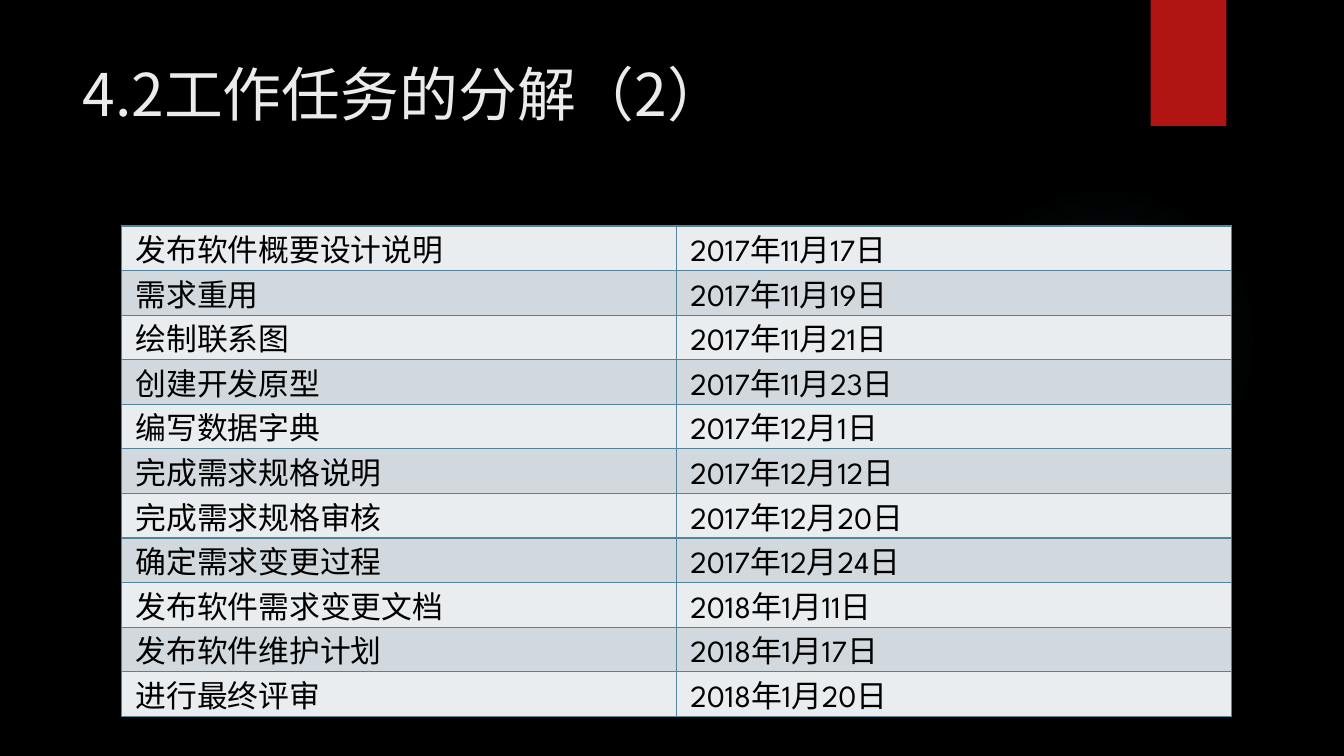
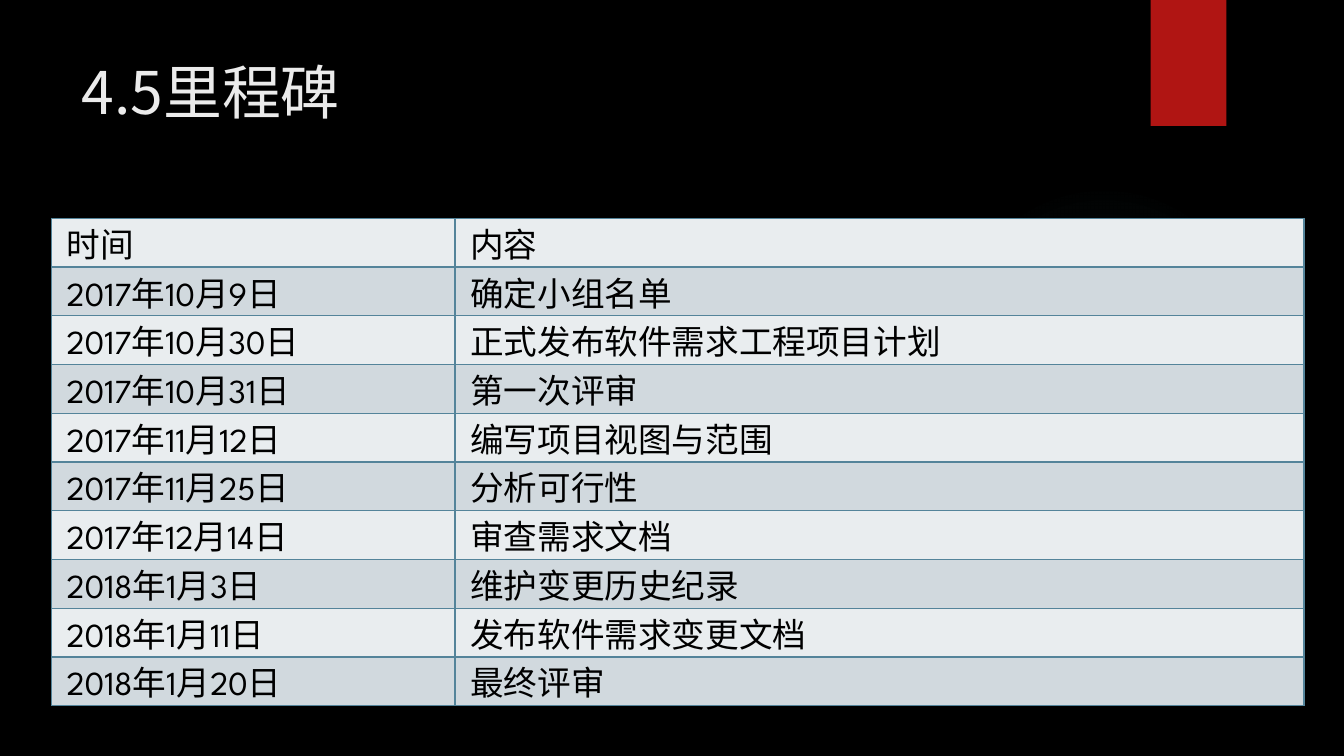
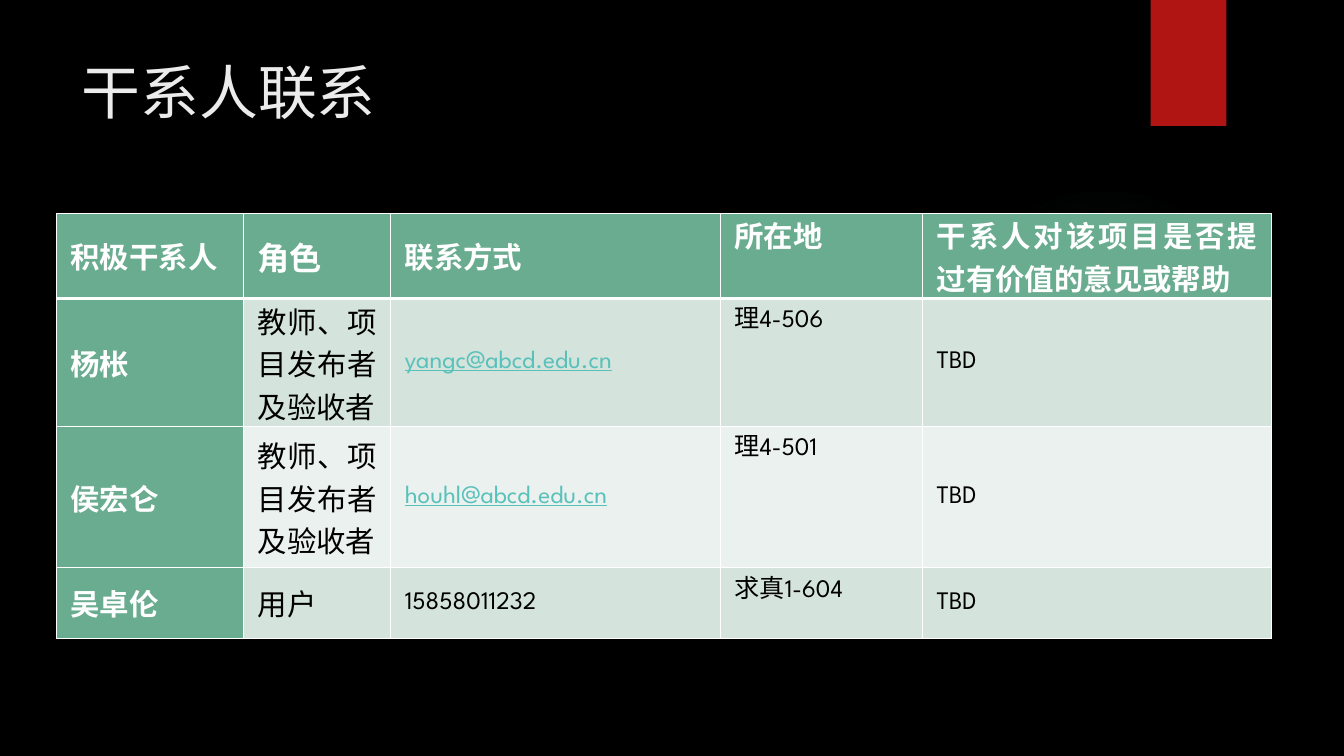
from lxml import etree
from pptx import Presentation
from pptx.dml.color import RGBColor
from pptx.enum.shapes import MSO_SHAPE
from pptx.enum.text import MSO_ANCHOR, PP_ALIGN
from pptx.oxml import parse_xml
from pptx.oxml.ns import nsdecls, qn
from pptx.util import Inches, Pt

BLACK = RGBColor(0x00, 0x00, 0x00)
WHITE = RGBColor(0xFF, 0xFF, 0xFF)
RED = RGBColor(0xB0, 0x15, 0x13)
TITLE = RGBColor(0xEB, 0xEB, 0xEB)
GLOW = RGBColor(0x50, 0xB9, 0xC1)
BLUE = RGBColor(0x54, 0x84, 0x9A)
GREEN = RGBColor(0x6A, 0xAC, 0x90)
LINK = RGBColor(0x58, 0xC1, 0xBA)
GREY_BANDS = [RGBColor(0xE9, 0xED, 0xEF), RGBColor(0xD1, 0xD9, 0xDE)]
GREEN_BANDS = [RGBColor(0xEB, 0xF1, 0xEE), RGBColor(0xD4, 0xE3, 0xDB)]
BODY_FONT, CJK_FONT = "League Spartan", "Noto Sans CJK SC"

# One grid unit is a hundredth of the slide's width or height
W, H = Inches(13.33), Inches(7.5)


def box(x, y, w, h):
    return [round(v * side / 100) for v, side in zip((x, y, w, h), (W, H, W, H))]


def write(tf, text, size, color, font=BODY_FONT, bold=False, underline=False,
          align=PP_ALIGN.LEFT):
    tf.word_wrap = True
    p = tf.paragraphs[0]
    p.alignment = align
    r = p.add_run()
    r.text = text
    r.font.name, r.font.size, r.font.color.rgb = font, Pt(size), color
    r.font.bold, r.font.underline = bold, underline
    etree.SubElement(r.font._element, qn("a:ea"), typeface=CJK_FONT)


tasks = [
    ("发布软件概要设计说明", "2017年11月17日"),
    ("需求重用", "2017年11月19日"),
    ("绘制联系图", "2017年11月21日"),
    ("创建开发原型", "2017年11月23日"),
    ("编写数据字典", "2017年12月1日"),
    ("完成需求规格说明", "2017年12月12日"),
    ("完成需求规格审核", "2017年12月20日"),
    ("确定需求变更过程", "2017年12月24日"),
    ("发布软件需求变更文档", "2018年1月11日"),
    ("发布软件维护计划", "2018年1月17日"),
    ("进行最终评审", "2018年1月20日"),
]
milestones = [
    ("时间", "内容"),
    ("2017年10月9日", "确定小组名单"),
    ("2017年10月30日", "正式发布软件需求工程项目计划"),
    ("2017年10月31日", "第一次评审"),
    ("2017年11月12日", "编写项目视图与范围"),
    ("2017年11月25日", "分析可行性"),
    ("2017年12月14日", "审查需求文档"),
    ("2018年1月3日", "维护变更历史纪录"),
    ("2018年1月11日", "发布软件需求变更文档"),
    ("2018年1月20日", "最终评审"),
]
contacts = [
    ("积极干系人", "角色", "联系方式", "所在地", "干系人对该项目是否提过有价值的意见或帮助"),
    ("杨枨", "教师、项目发布者及验收者", "yangc@abcd.edu.cn", "理4-506", "TBD"),
    ("侯宏仑", "教师、项目发布者及验收者", "houhl@abcd.edu.cn", "理4-501", "TBD"),
    ("吴卓伦", "用户", "15858011232", "求真1-604", "TBD"),
]

# Title, title box, table corner, column widths, row heights, side inset, text size, rows
pages = [
    ("4.2工作任务的分解（2）", (5.4, 6.93, 77.19, 16.67), (9.05, 29.9),
     [41.28] * 2, [5.9] * len(tasks), 0.14, 22, tasks),
    ("4.5里程碑", (5.33, 6.67, 77.19, 12.4), (3.83, 28.88),
     [30.03, 63.17], [6.45] * len(milestones), 0.15, 24, milestones),
    ("干系人联系", (5.33, 6.67, 77.19, 20.4), (4.2, 28.24),
     [13.92, 10.95, 24.53, 15.05, 25.96], [11.26, 16.95, 18.67, 9.33], 0.14, 21, contacts),
]

prs = Presentation()
prs.slide_width, prs.slide_height = W, H
fill = prs.slide_master.background.fill
fill.solid()
fill.fore_color.rgb = BLACK

for title, title_box, corner, widths, heights, inset, size, rows in pages:
    s = prs.slides.add_slide(prs.slide_layouts[6])

    # Faint round glow
    sp = s.shapes.add_shape(MSO_SHAPE.OVAL, *box(70.59, 24.4, 23.11, 41.07))
    sp.shadow.inherit = False
    sp.line.fill.background()
    stops = "".join(
        f'<a:gs pos="{pos}000"><a:srgbClr val="{GLOW}"><a:alpha val="{alpha}000"/></a:srgbClr></a:gs>'
        for pos, alpha in [(0, 7), (36, 6), (69, 0)])
    sp._element.spPr.find(qn("a:prstGeom")).addnext(parse_xml(
        f'<a:gradFill {nsdecls("a")}><a:gsLst>{stops}</a:gsLst><a:path path="circle">'
        '<a:fillToRect l="50000" t="50000" r="50000" b="50000"/></a:path></a:gradFill>'))

    # Red tab
    sp = s.shapes.add_shape(MSO_SHAPE.RECTANGLE, *box(85.62, 0, 5.63, 16.67))
    sp.shadow.inherit = False
    sp.line.fill.background()
    sp.fill.solid()
    sp.fill.fore_color.rgb = RED

    # Title
    tf = s.shapes.add_textbox(*box(*title_box)).text_frame
    write(tf, title, 42, TITLE, font=CJK_FONT)

    # Table
    frame = s.shapes.add_table(len(rows), len(widths), *box(*corner, sum(widths), sum(heights)))
    table = frame.table
    for column, width in zip(table.columns, widths):
        column.width = round(width * W / 100)
    for row, height in zip(table.rows, heights):
        row.height = round(height * H / 100)
    is_contacts = rows is contacts

    for i, row in enumerate(rows):
        for j, text in enumerate(row):
            cell = table.cell(i, j)
            cell.margin_left = cell.margin_right = Inches(inset)
            cell.margin_top = cell.margin_bottom = 0

            # Borders, heavier below the contacts header
            for side in "LRTB":
                heavy = is_contacts and (i, side) in [(0, "B"), (1, "T")]
                cell._tc.get_or_add_tcPr().append(parse_xml(
                    f'<a:ln{side} {nsdecls("a")} w="{Pt(3 if heavy else 1)}"><a:solidFill>'
                    f'<a:srgbClr val="{WHITE if is_contacts else BLUE}"/>'
                    f'</a:solidFill></a:ln{side}>'))

            # Fill and text
            cell.fill.solid()
            if not is_contacts:
                cell.fill.fore_color.rgb = GREY_BANDS[i % 2]
                write(cell.text_frame, text, size, BLACK)
                continue
            head, link = i == 0 or j == 0, "@" in text
            cell.fill.fore_color.rgb = GREEN if head else GREEN_BANDS[i % 2]
            cell.vertical_anchor = MSO_ANCHOR.TOP if j == 3 else MSO_ANCHOR.MIDDLE
            text_size = 23 if (i, j) == (0, 1) else size if head or j == 1 else 18
            write(cell.text_frame, text, text_size, WHITE if head else LINK if link else BLACK,
                  bold=head, underline=link, align=PP_ALIGN.JUSTIFY)

prs.save("out.pptx")
